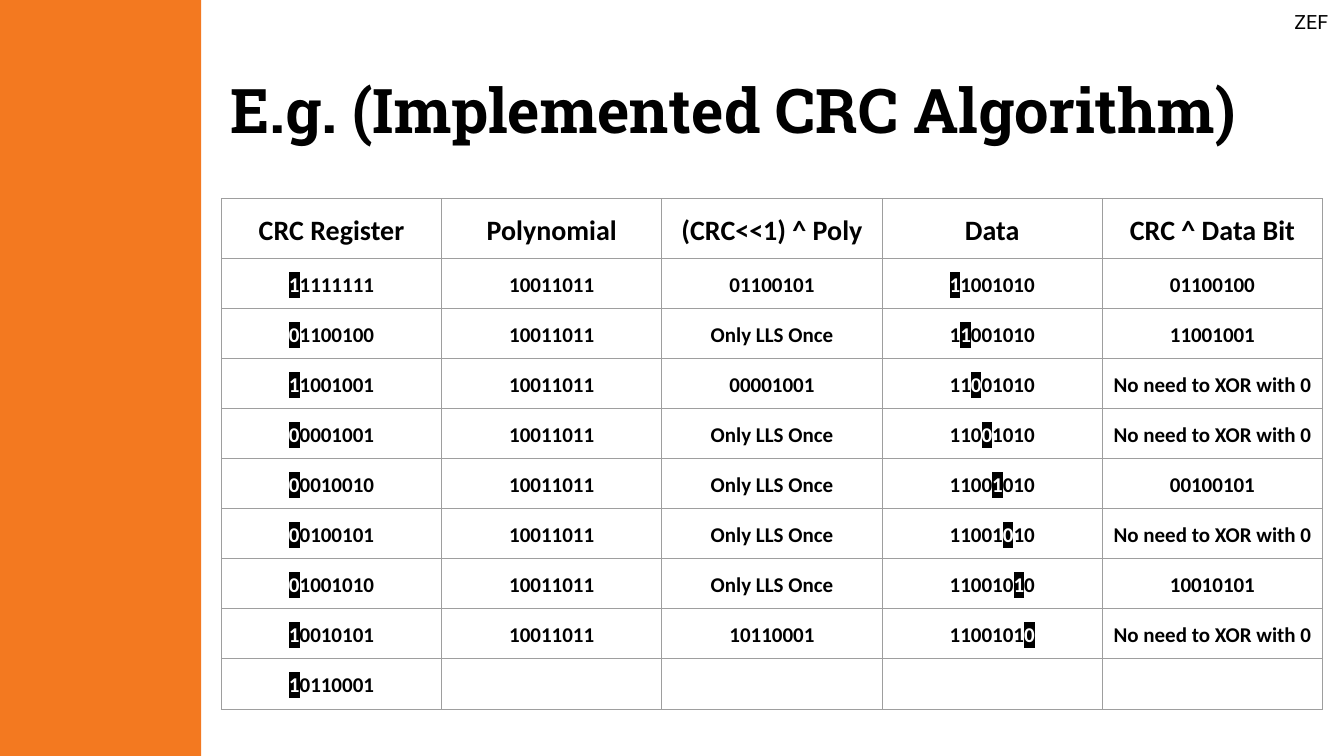
from lxml.etree import SubElement
from pptx import Presentation
from pptx.dml.color import RGBColor
from pptx.enum.shapes import MSO_SHAPE
from pptx.enum.text import MSO_ANCHOR, MSO_AUTO_SIZE, PP_ALIGN
from pptx.oxml.ns import qn
from pptx.util import Cm, Pt

BLACK, WHITE, GREY, ORANGE = "000000", "FFFFFF", "9E9E9E", "F37920"
PAD = Cm(0.25)


def color(code):
    return RGBColor.from_string(code)


def solid(node, code):
    fill = SubElement(node, qn("a:solidFill"))
    SubElement(fill, qn("a:srgbClr"), val=code)


class Deck:
    def __init__(self):
        self.prs = Presentation()
        self.prs.slide_width, self.prs.slide_height = Cm(33.87), Cm(19.05)
        self.slide = self.prs.slides.add_slide(self.prs.slide_layouts[5])

    def run(self, para, text, size, font, bold=False, lit=False):
        run = para.add_run()
        run.text = text
        run.font.size, run.font.bold = Pt(size), bold
        run.font.color.rgb = color(WHITE if lit else BLACK)
        if lit:  # the highlight must stand before the font name
            mark = SubElement(run.font._element, qn("a:highlight"))
            SubElement(mark, qn("a:srgbClr"), val=BLACK)
        run.font.name = font

    def title(self, text, left, top, width, height):
        box = self.slide.shapes.title
        box.left, box.top = Cm(left), Cm(top)
        box.width, box.height = Cm(width), Cm(height)
        frame = box.text_frame
        frame.auto_size = MSO_AUTO_SIZE.NONE
        frame.vertical_anchor = MSO_ANCHOR.MIDDLE
        para = frame.paragraphs[0]
        para.alignment, para.line_spacing = PP_ALIGN.LEFT, 0.9
        self.run(para, text, 44, "Roboto Slab", bold=True)

    def bar(self, left, top, width, height, code):
        bar = self.slide.shapes.add_shape(
            MSO_SHAPE.RECTANGLE, Cm(left), Cm(top), Cm(width), Cm(height))
        bar.shadow.inherit = False
        bar.fill.solid()
        bar.fill.fore_color.rgb = color(code)
        bar.line.fill.background()

    def label(self, text, left, top, width, height):
        box = self.slide.shapes.add_textbox(
            Cm(left), Cm(top), Cm(width), Cm(height))
        frame = box.text_frame
        frame.word_wrap = True
        frame.margin_left = frame.margin_right = PAD
        frame.margin_top = frame.margin_bottom = PAD
        self.run(frame.paragraphs[0], text, 14, "Roboto")

    def cell(self, cell, text, size, lit):
        cell.margin_left = cell.margin_right = PAD
        cell.margin_top = cell.margin_bottom = PAD
        props = cell._tc.get_or_add_tcPr()
        for side in ("lnL", "lnR", "lnT", "lnB"):
            solid(SubElement(props, qn("a:" + side), w=str(Pt(0.75))), GREY)
        cell.fill.background()
        para = cell.text_frame.paragraphs[0]
        para.alignment, para.line_spacing = PP_ALIGN.CENTER, 1.15
        parts = [(text, False)]
        if lit is not None:
            parts = [(text[:lit], False), (text[lit], True),
                     (text[lit + 1:], False)]
        for part, mark in parts:
            if part:
                self.run(para, part, size, "Calibri", bold=True, lit=mark)

    def table(self, rows, left, top, col, head, body):
        """Each row is a list of (text, index of the lit digit or None)."""
        count, wide = len(rows), len(rows[0])
        table = self.slide.shapes.add_table(
            count, wide, Cm(left), Cm(top), Cm(col * wide),
            Cm(head + body * (count - 1))).table
        table.first_row = table.horz_banding = False
        for column in table.columns:
            column.width = Cm(col)
        for r, row in enumerate(rows):
            table.rows[r].height = Cm(body if r else head)
            for c, (text, lit) in enumerate(row):
                self.cell(table.cell(r, c), text, 15 if r else 20, lit)


def trace(crc, poly, data):
    """List the CRC steps, one table row for each data bit."""
    names = ("CRC Register", "Polynomial", "(CRC<<1) ^ Poly", "Data",
             "CRC ^ Data Bit")
    rows = [[(name, None) for name in names]]
    for i, bit in enumerate(data):
        start, high = f"{crc:08b}", crc >> 7
        crc = (crc << 1) & 0xFF
        if high:
            crc ^= poly
        shift = f"{crc:08b}" if high else "Only LLS Once"
        crc ^= int(bit)
        last = f"{crc:08b}" if bit == "1" else "No need to XOR with 0"
        rows.append([(start, 0), (f"{poly:08b}", None), (shift, None),
                     (data, i), (last, None)])
    rows.append([(f"{crc:08b}", 0)] + [("", None)] * 4)
    return rows


def main():
    deck = Deck()
    # Side bar and heading
    deck.bar(0, 0, 5.07, 19.05, ORANGE)
    deck.title("E.g. (Implemented CRC Algorithm)", 5.56, 1.02, 26.82, 3.68)
    # Steps of the algorithm
    steps = trace(0b11111111, 0b10011011, "11001010")
    deck.table(steps, 5.58, 5.01, col=5.55, head=1.5, body=1.26)
    # Corner mark
    deck.label("ZEF", 32.37, 0, 1.5, 1.12)
    deck.prs.save("out.pptx")


if __name__ == "__main__":
    main()
